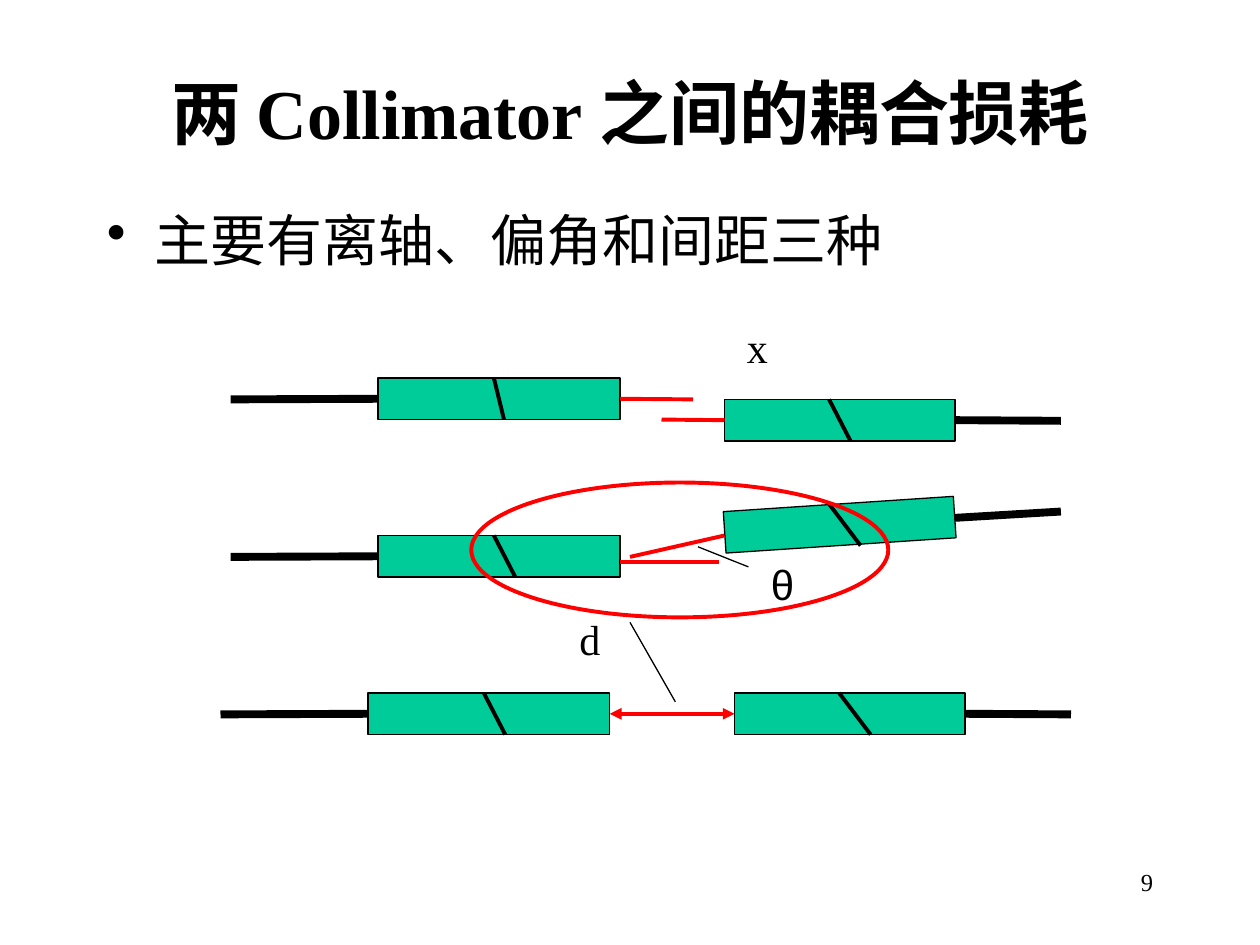
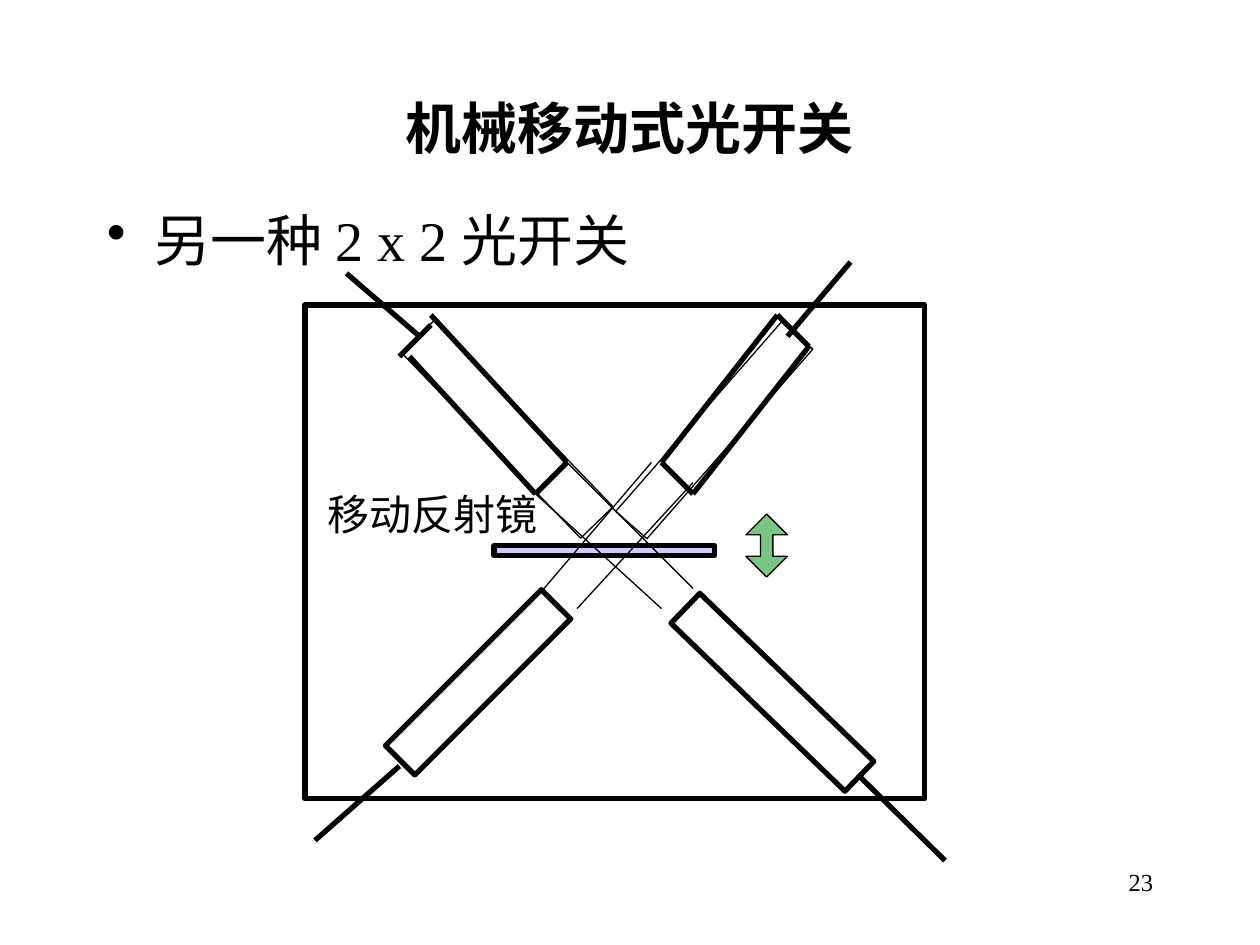
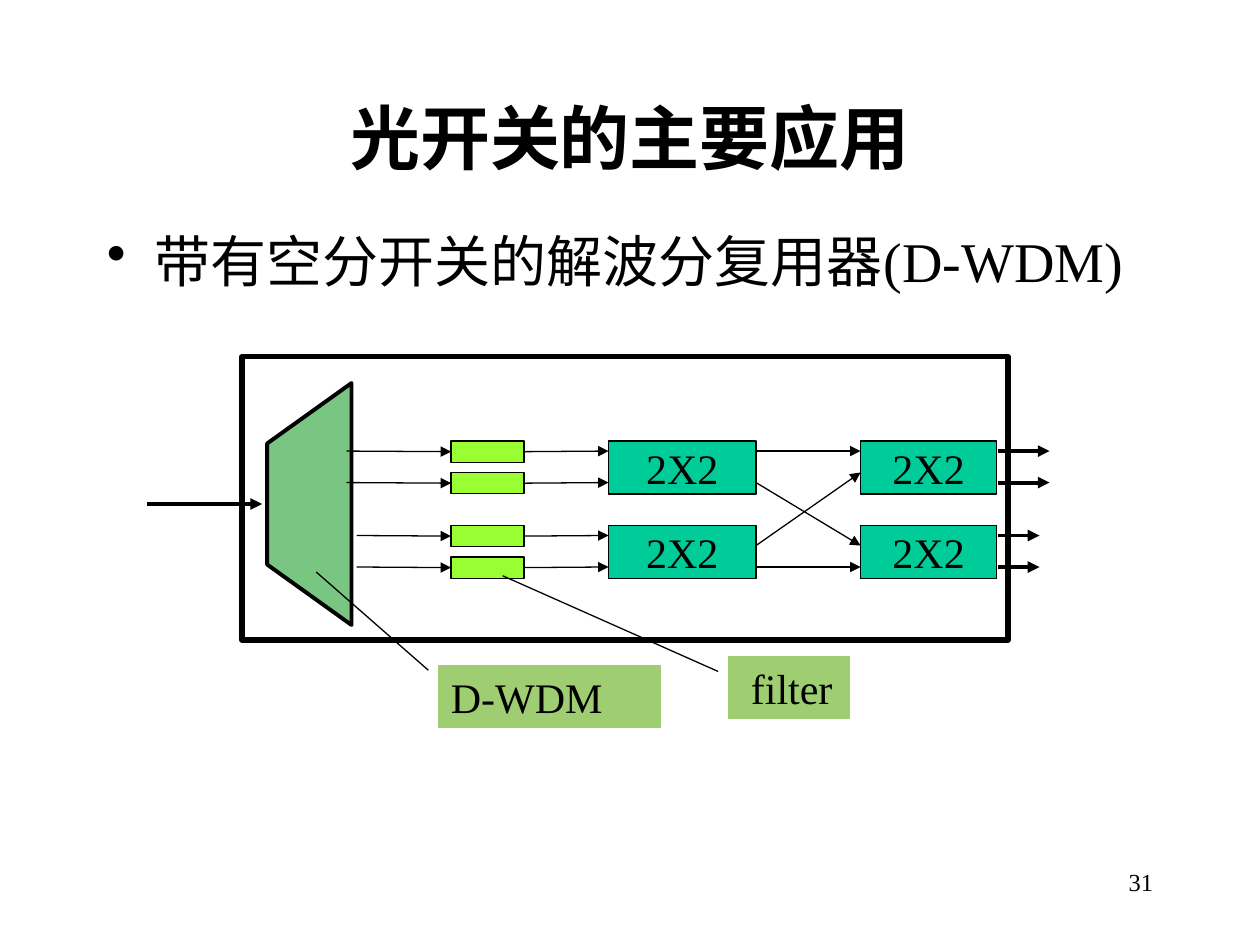
import dataclasses

import pptx
import pptx.dml.color
import pptx.enum.shapes
import pptx.enum.text
import pptx.oxml
import pptx.oxml.ns
import pptx.util

Inches = pptx.util.Inches
PRESET = pptx.enum.shapes.MSO_SHAPE
ALIGN = pptx.enum.text.PP_ALIGN
ANCHOR = pptx.enum.text.MSO_ANCHOR
LEFT_SIDE, RIGHT_SIDE = 1, 3


@dataclasses.dataclass(frozen=True)
class Theme:
    """Colours, fonts, type sizes and line widths of the deck."""

    ink: str = "000000"
    paper: str = "FFFFFF"
    beam: str = "FF0000"
    device: str = "00CC99"
    mirror: str = "CCCCFF"
    moving: str = "79C582"
    tag: str = "9FCD71"
    filter: str = "99FF33"
    font: str = "Times New Roman"
    greek_font: str = "Arial"
    title: int = 40
    body: int = 32
    label: int = 24
    number: int = 14
    thin: float = 0.75
    medium: float = 2.25
    thick: float = 3
    fibre: float = 4.5


THEME = Theme()


def rgb(colour):
    """Turn a hex colour into a colour object."""
    return pptx.dml.color.RGBColor.from_string(colour)


def add_effect_free_line(shape_tree, start, end):
    """Add a straight connector that has no shadow."""
    connector = shape_tree.add_connector(
        pptx.enum.shapes.MSO_CONNECTOR.STRAIGHT,
        *(Inches(value) for value in (*start, *end)))
    properties = connector._element.spPr
    properties.append(pptx.oxml.parse_xml(
        f"<a:effectLst {pptx.oxml.ns.nsdecls('a')}/>"))
    return connector


def write(shape, text, size=THEME.label, font=THEME.font, bold=False,
          align=ALIGN.LEFT, anchor=ANCHOR.TOP, wrap=True):
    """Write one run in a shape and return its paragraph."""
    frame = shape.text_frame
    frame.word_wrap = wrap
    frame.vertical_anchor = anchor
    paragraph = frame.paragraphs[0]
    paragraph.alignment = align
    run = paragraph.add_run()
    run.text = text
    run.font.name = font
    run.font.size = pptx.util.Pt(size)
    run.font.bold = bold
    run.font.color.rgb = rgb(THEME.ink)
    return paragraph


def paint(shape, fill=None, line=THEME.ink, width=THEME.thin):
    """Set fill and outline, and drop the shadow."""
    shape.shadow.inherit = False
    if fill:
        shape.fill.solid()
        shape.fill.fore_color.rgb = rgb(fill)
    else:
        shape.fill.background()
    shape.line.color.rgb = rgb(line)
    shape.line.width = pptx.util.Pt(width)
    return shape


@dataclasses.dataclass
class Region:
    """An area of a slide whose contents are placed from its top left corner."""

    slide: object
    left: float = 0
    top: float = 0

    def inner(self, left, top):
        """Give a region inside this one."""
        return Region(self.slide, self.left + left, self.top + top)

    def point(self, position):
        """Give a position on the slide in inches."""
        return self.left + position[0], self.top + position[1]

    def box(self, left, top, width, height):
        """Give a box on the slide as lengths."""
        return [Inches(value) for value in (*self.point((left, top)), width, height)]

    def shape(self, preset, box, fill=None, line=THEME.ink, width=THEME.thin, turn=0):
        """Add a preset shape."""
        shape = self.slide.shapes.add_shape(preset, *self.box(*box))
        shape.rotation = turn
        return paint(shape, fill, line, width)

    def rectangle(self, box, **style):
        """Add a rectangle."""
        return self.shape(PRESET.RECTANGLE, box, **style)

    def text(self, box, text, **style):
        """Add a text box and return its paragraph."""
        return write(self.slide.shapes.add_textbox(*self.box(*box)), text, **style)

    def line(self, start, end, colour=THEME.ink, width=THEME.thin, arrows=(),
             begin=None, finish=None):
        """Add a line, with arrowheads and joints where asked."""
        connector = add_effect_free_line(
            self.slide.shapes, self.point(start), self.point(end))
        connector.line.color.rgb = rgb(colour)
        connector.line.width = pptx.util.Pt(width)
        for arrow in arrows:
            connector._element.spPr.get_or_add_ln().append(pptx.oxml.parse_xml(
                f'<a:{arrow} {pptx.oxml.ns.nsdecls("a")} type="triangle"/>'))
        if begin:
            connector.begin_connect(begin, RIGHT_SIDE)
        if finish:
            connector.end_connect(finish, LEFT_SIDE)
        return connector

    def callout(self, box, text, start, tip, fill=None, font=THEME.font, indent=0.1):
        """Add a label whose pointer runs from start to tip, seen from its corner."""
        width, height = box[2:]
        shape = self.shape(PRESET.LINE_CALLOUT_1_NO_BORDER, box, fill)
        ratios = (start[1] / height, start[0] / width, tip[1] / height, tip[0] / width)
        for index, ratio in enumerate(ratios):
            shape.adjustments[index] = ratio
        write(shape, text, font=font)
        shape.text_frame.margin_left = Inches(indent)


def add_page(presentation, number, title, title_box, bullet, bullet_top,
             title_size=THEME.title):
    """Add a slide with its title, bullet and page number."""
    region = Region(presentation.slides.add_slide(presentation.slide_layouts[6]))
    region.text((7.17, 6.83, 2.08, 0.5), str(number), size=THEME.number,
                align=ALIGN.RIGHT)
    top, height = title_box
    region.text((0.75, top, 8.5, height), title, size=title_size, bold=True,
                align=ALIGN.CENTER, anchor=ANCHOR.MIDDLE)
    paragraph = region.text((0.75, bullet_top, 8.5, 0.75), bullet, size=THEME.body)
    properties = paragraph._p.get_or_add_pPr()
    properties.set("marL", str(Inches(0.38)))
    properties.set("indent", str(-Inches(0.38)))
    namespace = pptx.oxml.ns.nsdecls("a")
    for element in (f'<a:buClr {namespace}><a:srgbClr val="{THEME.ink}"/></a:buClr>',
                    f'<a:buChar {namespace} char="•"/>'):
        properties.append(pptx.oxml.parse_xml(element))
    return region


def add_left_collimator(region, slash_run):
    """Draw a collimator with its fibre on the left."""
    body = region.rectangle((0, 0, 1.92, 0.33), fill=THEME.device)
    region.line((-1.17, 0.17), (0, 0.17), width=THEME.fibre, finish=body)
    region.line((0.92, 0), (0.92 + slash_run, 0.33), width=THEME.medium)
    return body


def add_right_collimator(region, slash_run, tilt=0):
    """Draw a collimator with its fibre on the right."""
    body = region.rectangle((0, 0, 1.83, 0.33), fill=THEME.device, turn=tilt)
    if tilt:
        region.line((1.83, 0.11), (2.67, 0.06), width=THEME.fibre)
    else:
        region.line((1.83, 0.17), (2.67, 0.17), width=THEME.fibre, begin=body)
    region.line((0.83, 0), (0.83 + slash_run, 0.33), width=THEME.medium)
    return body


def draw_coupling_losses(region):
    """Draw lateral offset, angular tilt and gap between two collimators."""
    beam = {"colour": THEME.beam, "width": THEME.medium}

    left = add_left_collimator(region.inner(1.25, 0.5), 0.08)
    right = add_right_collimator(region.inner(4, 0.67), 0.17)
    region.line((3.17, 0.67), (3.75, 0.67), begin=left, **beam)
    region.line((3.5, 0.83), (4, 0.83), finish=right, **beam)
    region.text((4.08, 0, 0.33, 0.5), "x")

    add_left_collimator(region.inner(1.25, 1.75), 0.17)
    add_right_collimator(region.inner(4, 1.5), 0.25, tilt=-3.8)
    region.line((3.17, 1.96), (3.96, 1.96), **beam)
    region.line((3.25, 1.92), (4, 1.75), **beam)
    region.callout((4.27, 1.88, 0.53, 0.5), "θ", (-0.08, 0.12), (-0.48, -0.04),
                   font=THEME.greek_font)

    left = add_left_collimator(region.inner(1.17, 3), 0.17)
    right = add_right_collimator(region.inner(4.08, 3), 0.25)
    region.line((3.08, 3.17), (4.08, 3.17), arrows=("headEnd", "tailEnd"),
                begin=left, finish=right, **beam)
    region.callout((2.75, 2.32, 0.42, 0.5), "d", (0.5, 0.12), (0.86, 0.75))

    region.shape(PRESET.OVAL, (1.99, 1.33, 3.31, 1.07), line=THEME.beam,
                 width=THEME.medium)


def draw_mirror_switch(region):
    """Draw four collimators around a moving mirror."""
    region.rectangle((0.5, 1.23, 2.05, 0.36), fill=THEME.paper, turn=46)
    region.rectangle((2.17, 1.25, 2, 0.33), fill=THEME.paper, turn=311.2)
    region.rectangle((1.42, 2.33, 1.75, 0.08), fill=THEME.mirror, width=THEME.thick)

    upper_left = [((1.75, 1.92), (2, 1.67)), ((0.75, 0.83), (1.75, 1.92)),
                  ((0.67, 0.83), (0.92, 0.58)), ((0.92, 0.5), (2, 1.67))]
    upper_right = [((2.75, 1.67), (3, 1.92)), ((3.67, 0.5), (3.92, 0.75)),
                   ((2.75, 1.67), (3.67, 0.5)), ((3, 1.92), (3.92, 0.75))]
    fibres = [((3.75, 0.67), (4.25, 0.08)), ((0.25, 0.17), (0.83, 0.67)),
              ((0, 4.67), (0.67, 4.08)), ((4.33, 4.17), (5, 4.83))]
    beams = [((2, 1.67), (3, 2.67)), ((1.75, 1.92), (2.75, 2.83)),
             ((2.67, 1.67), (1.75, 2.75)), ((3, 1.83), (2.08, 2.83))]
    for start, end in upper_left + upper_right + fibres:
        region.line(start, end, width=THEME.thick)
    for start, end in beams:
        region.line(start, end)

    for box, turn in (((0.42, 3.25, 1.75, 0.33), 315), ((2.67, 3.33, 1.92, 0.33), 44)):
        region.rectangle(box, fill=THEME.paper, width=THEME.thick, turn=turn)

    arrow = region.shape(PRESET.UP_DOWN_ARROW, (3.42, 2.08, 0.33, 0.5), THEME.moving)
    arrow.adjustments[1] = 0.3
    region.text((0, 1.83, 2, 0.5), "移动反射镜")
    region.rectangle((-0.08, 0.42, 4.92, 3.92), width=THEME.thick)


def draw_demultiplexer(region):
    """Draw the trapezoid that splits the incoming light."""
    corners = [tuple(Inches(value) for value in region.point(corner))
               for corner in ((0.87, 0.21), (0.2, 0.69), (0.2, 1.65), (0.87, 2.13))]
    builder = region.slide.shapes.build_freeform(*corners[0])
    builder.add_line_segments(corners[1:], close=True)
    paint(builder.convert_to_shape(), THEME.moving, width=THEME.medium)
    region.line((-0.75, 1.17), (0.16, 1.17), width=THEME.medium, arrows=("tailEnd",))


def draw_switch_pair(region, entry, exit_end):
    """Draw two filtered channels passing through two switches."""
    arrow = ("tailEnd",)
    for left, width in ((2.91, 1.17), (4.91, 1.08)):
        switch = region.rectangle((left, 0, width, 0.42), fill=THEME.device)
        write(switch, "2X2", align=ALIGN.CENTER, anchor=ANCHOR.MIDDLE, wrap=False)
    for top in (0, 0.25):
        middle = top + 0.08
        light_filter = region.rectangle((1.66, top, 0.58, 0.17), fill=THEME.filter)
        region.line((entry, middle), (1.66, middle), arrows=arrow, finish=light_filter)
        region.line((2.24, middle), (2.91, middle), arrows=arrow, begin=light_filter)
        region.line((6, middle), (exit_end, middle), width=THEME.medium, arrows=arrow)


def draw_switched_demultiplexer(region):
    """Draw the demultiplexer, its filters and the crossed switches."""
    draw_demultiplexer(region)
    draw_switch_pair(region.inner(0, 0.67), 0.83, 6.41)
    draw_switch_pair(region.inner(0, 1.34), 0.91, 6.33)
    for start, end in ((0.75, 0.75), (1, 1.5), (1.5, 0.92), (1.67, 1.67)):
        region.line((4.08, start), (4.91, end), arrows=("tailEnd",))
    region.callout((1.56, 2.45, 1.77, 0.5), "D-WDM", (-0.08, 0.04), (-0.97, -0.74),
                   fill=THEME.tag)
    region.callout((3.86, 2.38, 0.97, 0.5), "filter", (-0.08, 0.12), (-1.79, -0.64),
                   fill=THEME.tag, indent=0.18)
    region.rectangle((0, 0, 6.08, 2.25), width=THEME.thick)


def main():
    """Build and save the deck."""
    presentation = pptx.Presentation()
    presentation.slide_width = Inches(10)
    presentation.slide_height = Inches(7.5)

    page = add_page(presentation, 9, "两 Collimator 之间的耦合损耗", (0.44, 0.89),
                    "主要有离轴、偏角和间距三种", 1.58)
    draw_coupling_losses(page.inner(1.75, 2.5))

    page = add_page(presentation, 23, "机械移动式光开关", (0.67, 0.67),
                    "另一种 2 x 2 光开关", 1.58, title_size=THEME.body)
    draw_mirror_switch(page.inner(2.5, 2))

    page = add_page(presentation, 31, "光开关的主要应用", (0.67, 0.83),
                    "带有空分开关的解波分复用器(D-WDM)", 1.75)
    draw_switched_demultiplexer(page.inner(1.92, 2.83))

    presentation.save("out.pptx")


if __name__ == "__main__":
    main()
